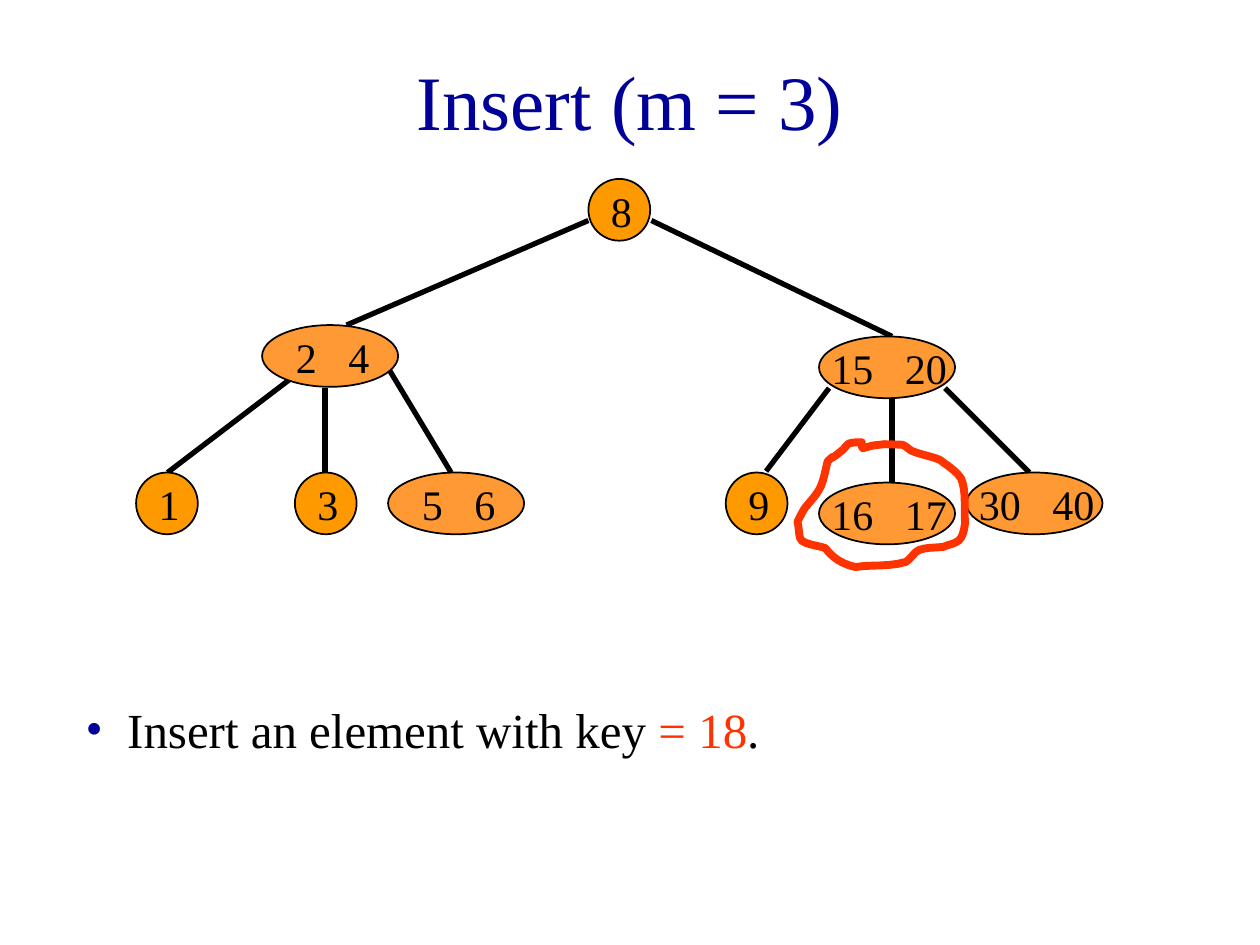
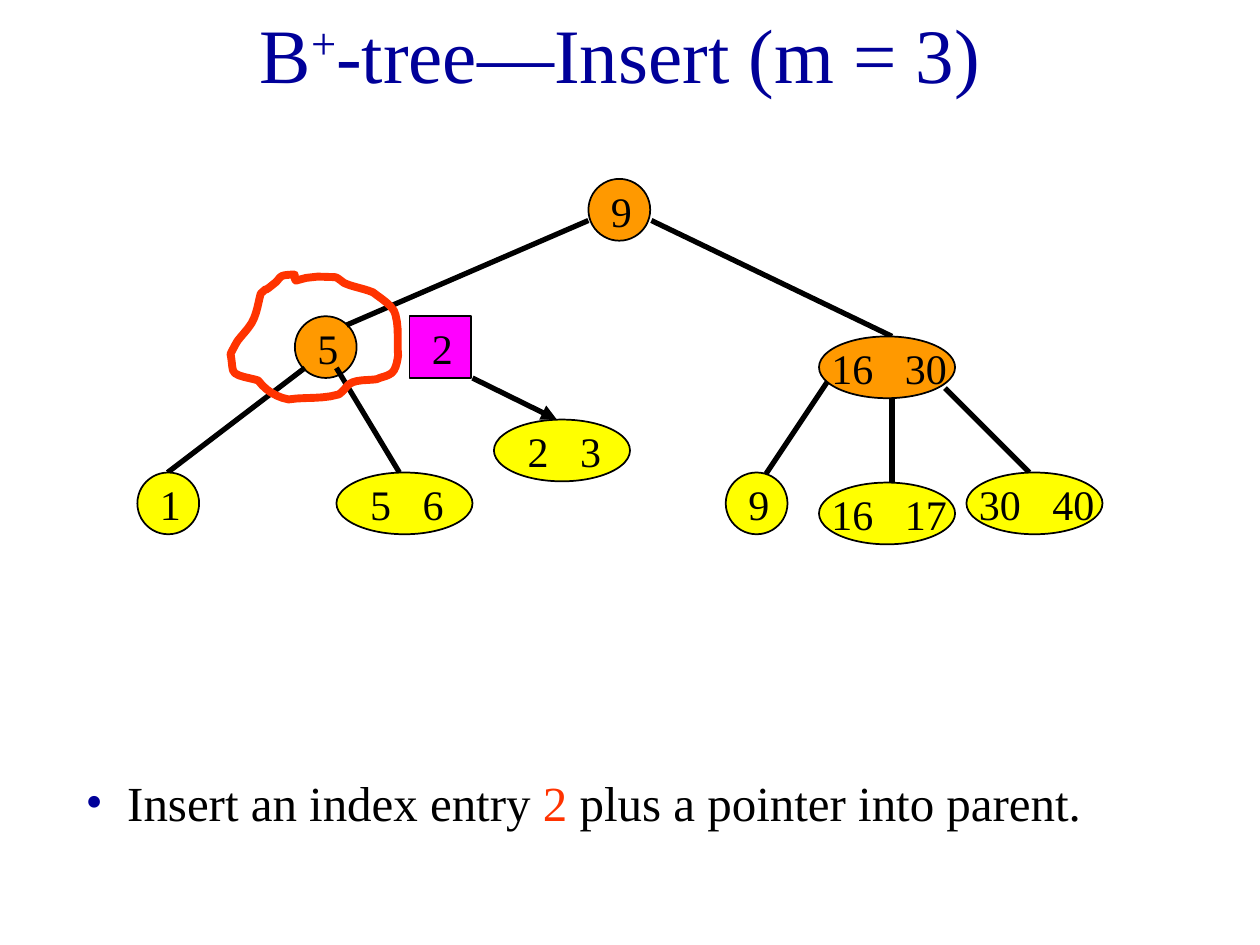
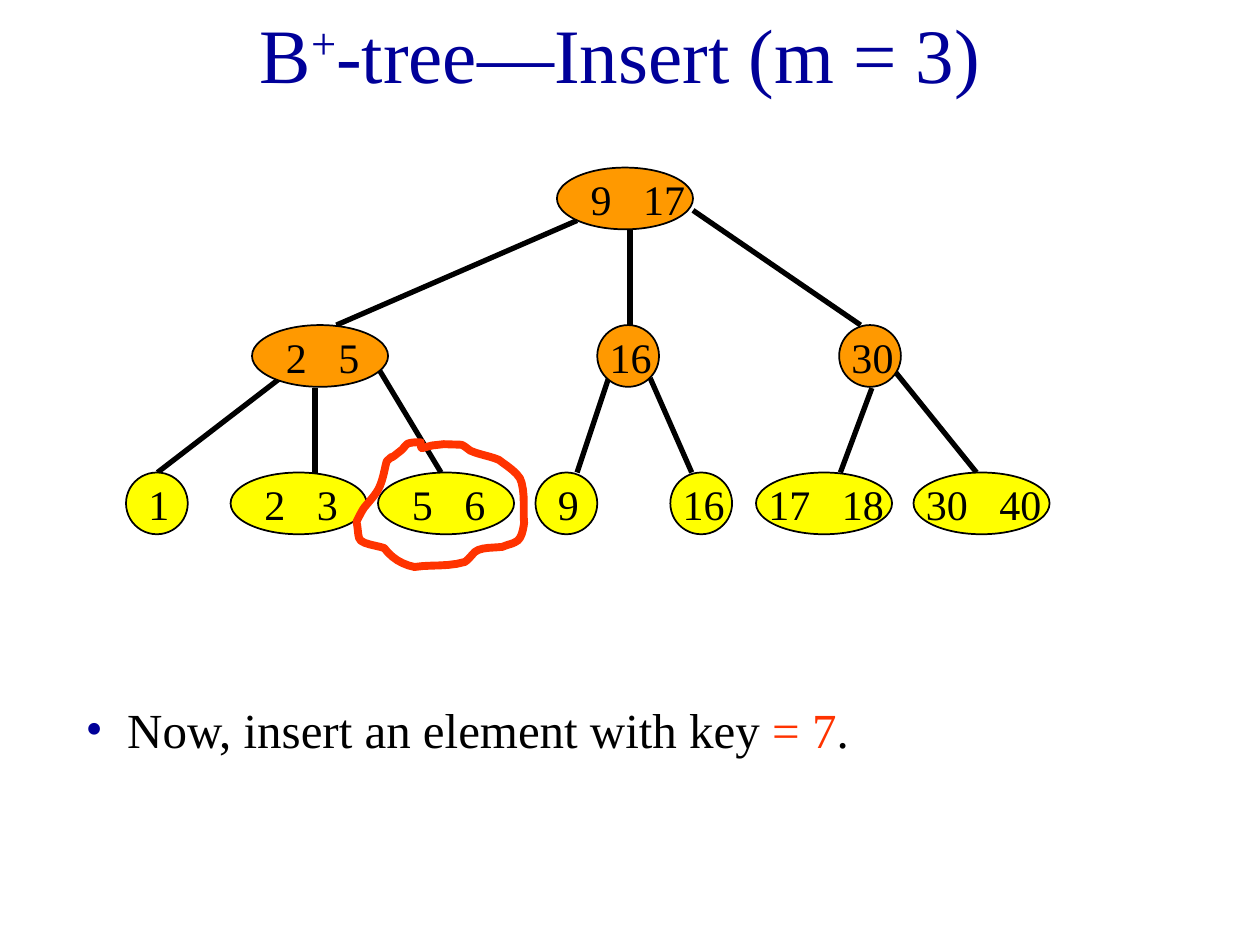
from lxml.etree import SubElement
from pptx import Presentation
from pptx.dml.color import RGBColor
from pptx.enum.shapes import MSO_CONNECTOR, MSO_SHAPE
from pptx.enum.text import MSO_ANCHOR, MSO_AUTO_SIZE, PP_ALIGN
from pptx.oxml import parse_xml
from pptx.oxml.ns import nsdecls, qn
from pptx.util import Inches, Pt

FONT = "Times New Roman"
NAVY = RGBColor(0x00, 0x00, 0x99)
BLACK = RGBColor(0x00, 0x00, 0x00)
RED = RGBColor(0xFF, 0x33, 0x00)
ORANGE = RGBColor(0xFF, 0x99, 0x00)
LIGHT_ORANGE = RGBColor(0xFF, 0x99, 0x33)
YELLOW = RGBColor(0xFF, 0xFF, 0x00)
MAGENTA = RGBColor(0xFF, 0x00, 0xFF)

NODE_HEIGHT = 0.49
OVAL_WIDTH = 1.08
KEY_GAP = 0.25
DIGIT_WIDTH = 1 / 6  # one digit at 24 pt
LEAF_ROW = 3.75
BULLET_INDENT = 0.33

TREE_TITLE = [("B", False), ("+", True), ("-tree—Insert (m = 3) ", False)]

# Edges (x1, y1, x2, y2) found in both trees with a two-child root
TWO_CHILD_EDGES = [
    (4.67, 1.75, 2.75, 2.58), (5.17, 1.75, 7.08, 2.67),
    (2.42, 2.92, 1.33, 3.75), (7.5, 3.08, 8.17, 3.75),
    (7.08, 3.17, 7.08, 3.83),
]

# Bezier loop: start, then two control points and an end for each curve
LOOP_START = (0.51, 0.01)
LOOP_CURVES = [
    ((0.48, 0.01), (0.44, 0.01), (0.41, 0.02)),
    ((0.39, 0.03), (0.38, 0.05), (0.36, 0.07)),
    ((0.20, 0.20), (0.34, 0.07), (0.24, 0.16)),
    ((0.22, 0.23), (0.21, 0.32), (0.17, 0.39)),
    ((0.14, 0.44), (0.10, 0.48), (0.06, 0.53)),
    ((0.04, 0.56), (0.02, 0.60), (0.00, 0.64)),
    ((0.01, 0.68), (0.01, 0.73), (0.02, 0.77)),
    ((0.03, 0.82), (0.17, 0.83), (0.22, 0.85)),
    ((0.28, 0.93), (0.36, 0.98), (0.46, 1.00)),
    ((0.59, 0.98), (0.73, 1.00), (0.86, 0.96)),
    ((0.89, 0.94), (0.91, 0.91), (0.94, 0.88)),
    ((0.99, 0.84), (1.09, 0.85), (1.16, 0.84)),
    ((1.20, 0.82), (1.24, 0.82), (1.28, 0.79)),
    ((1.32, 0.76), (1.33, 0.65), (1.33, 0.65)),
    ((1.32, 0.55), (1.34, 0.44), (1.31, 0.33)),
    ((1.30, 0.26), (1.18, 0.19), (1.13, 0.15)),
    ((1.06, 0.12), (0.98, 0.11), (0.91, 0.08)),
    ((0.90, 0.08), (0.85, 0.03), (0.83, 0.03)),
    ((0.50, 0.00), (0.51, 0.12), (0.51, 0.01)),
]
CURVE_STEPS = 6


def place(shape, left, top, width, height):
    shape.left, shape.top = Inches(left), Inches(top)
    shape.width, shape.height = Inches(width), Inches(height)


def format_run(run, size, color):
    run.font.name = FONT
    run.font.size = Pt(size)
    run.font.color.rgb = color


def add_title(slide, parts, top, height):
    """Fill the title from (text, is_superscript) parts."""
    title = slide.shapes.title
    place(title, 0.75, top, 8.5, height)
    frame = title.text_frame
    frame.auto_size = MSO_AUTO_SIZE.NONE
    frame.vertical_anchor = MSO_ANCHOR.MIDDLE
    paragraph = frame.paragraphs[0]
    paragraph.alignment = PP_ALIGN.CENTER
    for text, is_superscript in parts:
        run = paragraph.add_run()
        run.text = text
        format_run(run, 44, NAVY)
        if is_superscript:
            run.font._element.set("baseline", "30000")


def add_step(slide, before, key, after, top, width):
    """Write the bulleted step, with its key in red."""
    body = slide.placeholders[1]
    place(body, 0.58, top, width, 0.57)
    frame = body.text_frame
    frame.auto_size = MSO_AUTO_SIZE.NONE
    paragraph = frame.paragraphs[0]
    paragraph.space_before = Pt(0)
    properties = paragraph._p.get_or_add_pPr()
    properties.set("marL", str(Inches(BULLET_INDENT)))
    properties.set("indent", str(-Inches(BULLET_INDENT)))
    bullet_color = SubElement(properties, qn("a:buClr"))
    SubElement(bullet_color, qn("a:srgbClr"), val=str(NAVY))
    SubElement(properties, qn("a:buFont"), typeface=FONT)
    SubElement(properties, qn("a:buChar"), char="•")
    for text, color in [(before, BLACK), (key, RED), (after, BLACK)]:
        run = paragraph.add_run()
        run.text = text
        format_run(run, 28, color)


def add_keys(slide, keys, left, top):
    """Write one key, or two keys parted by a tab stop."""
    digits = sum(len(key) for key in keys)
    if len(keys) == 1:
        offset, width = 0.08, 0.42 * digits
    else:
        offset, width = 0.17, 0.17 + 0.33 * digits
    if len(keys[0]) > 1:
        offset = 0
    label = slide.shapes.add_textbox(Inches(left + offset), Inches(top), Inches(width), Inches(0.5))
    label.text_frame.word_wrap = True
    paragraph = label.text_frame.paragraphs[0]
    paragraph.text = "\t".join(keys)
    if len(keys) > 1:
        tabs = SubElement(paragraph._p.get_or_add_pPr(), qn("a:tabLst"))
        position = Inches(len(keys[0]) * DIGIT_WIDTH + KEY_GAP)
        SubElement(tabs, qn("a:tab"), pos=str(position), algn="l")
    for run in paragraph.runs:
        format_run(run, 24, BLACK)


def add_node(slide, key_text, left, top, fill, outline=MSO_SHAPE.OVAL):
    keys = key_text.split()
    width = OVAL_WIDTH if len(keys) > 1 else NODE_HEIGHT
    node = slide.shapes.add_shape(
        outline, Inches(left), Inches(top), Inches(width), Inches(NODE_HEIGHT))
    node.shadow.inherit = False
    node.fill.solid()
    node.fill.fore_color.rgb = fill
    node.line.color.rgb = BLACK
    node.line.width = Pt(1)
    add_keys(slide, keys, left, top)


def add_nodes(slide, fill, nodes):
    for key_text, left, top in nodes:
        add_node(slide, key_text, left, top, fill)


def add_edge(slide, x1, y1, x2, y2, arrow=False):
    edge = slide.shapes.add_connector(
        MSO_CONNECTOR.STRAIGHT, Inches(x1), Inches(y1), Inches(x2), Inches(y2))
    edge.line.color.rgb = BLACK
    edge.line.width = Pt(3)
    if arrow:
        edge.line._get_or_add_ln().append(
            parse_xml(f'<a:tailEnd {nsdecls("a")} type="triangle"/>'))
    SubElement(edge._element.spPr, qn("a:effectLst"))


def add_edges(slide, edges):
    for edge in edges:
        add_edge(slide, *edge)


def loop_points():
    """Sample the loop's Bezier curves, in EMU."""
    start = LOOP_START
    points = []
    for control1, control2, end in LOOP_CURVES:
        for step in range(1, CURVE_STEPS + 1):
            t = step / CURVE_STEPS
            u = 1 - t
            points.append(tuple(
                Inches(u**3 * a + 3 * u * u * t * b + 3 * u * t * t * c + t**3 * d)
                for a, b, c, d in zip(start, control1, control2, end)))
        start = end
    return points


def add_loop(slide, left, top):
    """Circle a node by hand in red."""
    start_x, start_y = LOOP_START
    builder = slide.shapes.build_freeform(Inches(start_x), Inches(start_y))
    builder.add_line_segments(loop_points(), close=True)
    loop = builder.convert_to_shape(Inches(left), Inches(top))
    loop.shadow.inherit = False
    loop.fill.background()
    loop.line.color.rgb = RED
    loop.line.width = Pt(4.5)


def build_insert_18(slide):
    add_title(slide, [("Insert (m = 3)", False)], 0.17, 1.25)
    add_step(slide, "Insert an element with key ", "= 18", ".", 5.5, 6.67)
    add_edges(slide, TWO_CHILD_EDGES + [
        (6.58, 3.08, 6.08, 3.74), (3.08, 2.92, 3.58, 3.75), (2.58, 3.08, 2.58, 3.75)])
    add_nodes(slide, ORANGE, [
        ("8", 4.67, 1.42), ("1", 1.08, LEAF_ROW), ("3", 2.34, LEAF_ROW), ("9", 5.76, LEAF_ROW)])
    add_nodes(slide, LIGHT_ORANGE, [
        ("2 4", 2.08, 2.58), ("15 20", 6.5, 2.67), ("5 6", 3.08, LEAF_ROW),
        ("16 17", 6.5, 3.83), ("30 40", 7.67, LEAF_ROW)])
    add_loop(slide, 6.33, 3.5)


def build_index_entry_2(slide):
    add_title(slide, TREE_TITLE, 0, 0.83)
    add_step(slide, "Insert an index entry ", "2 ", "plus a pointer into parent.", 6.08, 8.83)
    add_node(slide, "5", 2.34, 2.51, ORANGE)
    add_edges(slide, TWO_CHILD_EDGES + [
        (6.58, 3.01, 6.08, 3.76), (2.67, 2.92, 3.17, 3.75)])
    add_edge(slide, 3.75, 3, 4.42, 3.33, arrow=True)
    add_nodes(slide, ORANGE, [("9", 4.67, 1.42), ("16 30", 6.5, 2.67)])
    add_nodes(slide, YELLOW, [
        ("1", 1.09, LEAF_ROW), ("5 6", 2.67, LEAF_ROW), ("2 3", 3.92, 3.33),
        ("9", 5.76, LEAF_ROW), ("16 17", 6.5, 3.83), ("30 40", 7.67, LEAF_ROW)])
    add_node(slide, "2", 3.25, 2.51, MAGENTA, MSO_SHAPE.RECTANGLE)
    add_loop(slide, 1.83, 2.17)


def build_insert_7(slide):
    add_title(slide, TREE_TITLE, 0, 0.83)
    add_step(slide, "Now, insert an element with key ", "= 7", ".", 5.5, 6.67)
    add_edges(slide, [
        (4.58, 1.75, 2.67, 2.58), (5, 1.75, 5, 2.58), (5.5, 1.67, 6.83, 2.58),
        (2.33, 2.92, 1.25, 3.75), (2.5, 3.08, 2.5, 3.75), (3, 2.92, 3.5, 3.75),
        (4.83, 3, 4.58, 3.75), (5.16, 3, 5.49, 3.75),
        (6.92, 3.08, 6.67, 3.75), (7.08, 2.92, 7.75, 3.75)])
    add_nodes(slide, ORANGE, [
        ("9 17", 4.42, 1.33), ("2 5", 2, 2.58), ("16", 4.74, 2.58), ("30", 6.66, 2.58)])
    add_nodes(slide, YELLOW, [
        (keys, left, LEAF_ROW) for keys, left in [
            ("1", 1), ("2 3", 1.83), ("5 6", 3), ("9", 4.25),
            ("16", 5.32), ("17 18", 6), ("30 40", 7.25)]])
    add_loop(slide, 2.83, 3.5)


def main():
    presentation = Presentation()
    presentation.slide_width, presentation.slide_height = Inches(10), Inches(7.5)
    title_and_content = presentation.slide_layouts[1]
    for build in (build_insert_18, build_index_entry_2, build_insert_7):
        build(presentation.slides.add_slide(title_and_content))
    presentation.save("out.pptx")


if __name__ == "__main__":
    main()
